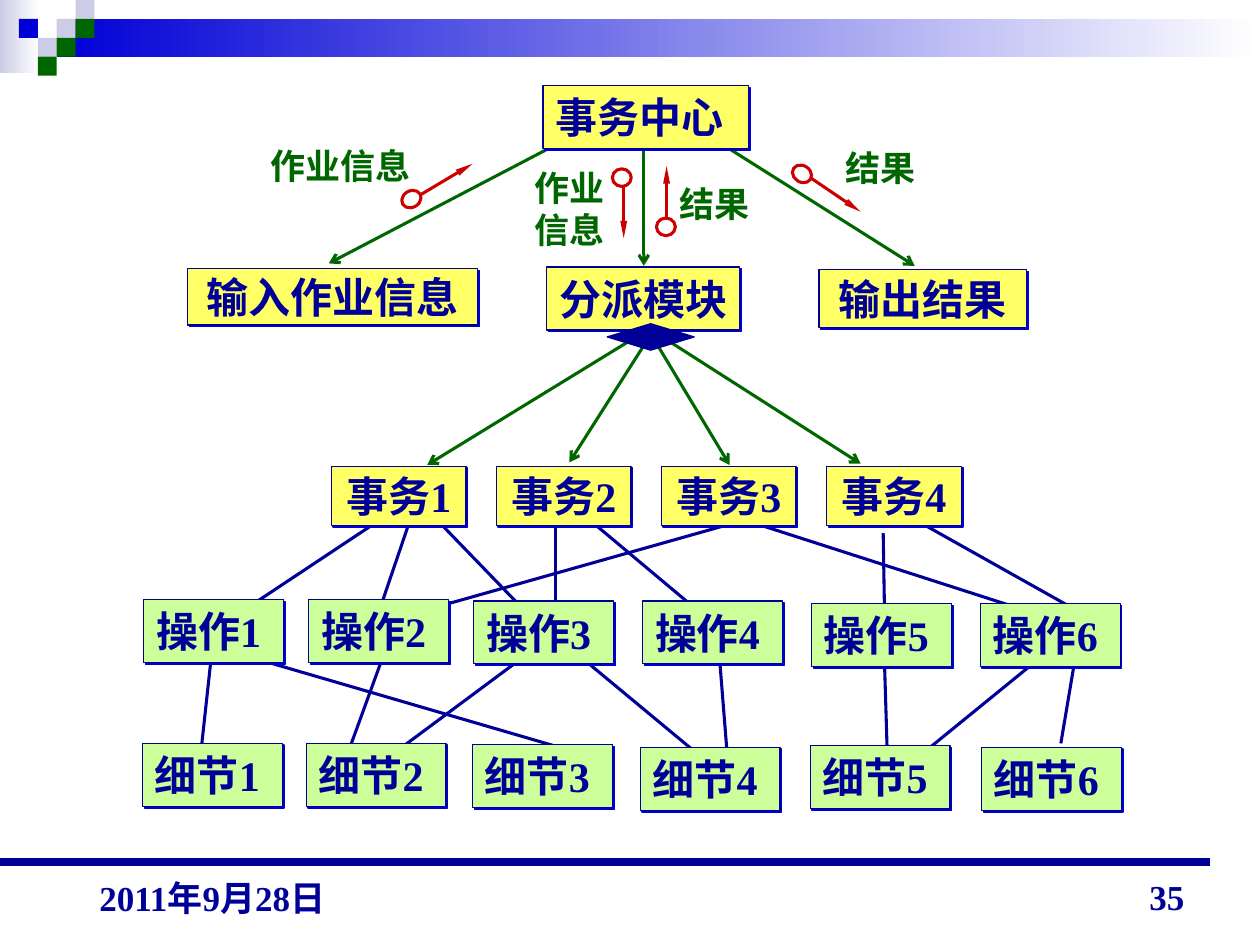
from dataclasses import dataclass

from lxml import etree
from pptx import Presentation
from pptx.dml.color import RGBColor
from pptx.enum.shapes import MSO_CONNECTOR as CONN, MSO_SHAPE as SHAPE
from pptx.enum.text import MSO_ANCHOR as ANCHOR, MSO_AUTO_SIZE as FIT, PP_ALIGN as ALIGN
from pptx.oxml.ns import qn
from pptx.util import Pt


@dataclass(frozen=True)
class Theme:
    font: str = "Times New Roman"
    box_size: int = 24
    label_size: int = 20
    navy: str = "000099"
    blue: str = "0000D6"
    pale: str = "CCCCE6"
    green: str = "006600"
    red: str = "CC0000"
    yellow: str = "FFFF66"
    lime: str = "CCFF99"
    white: str = "FFFFFF"
    thin: float = 0.75
    line: float = 1.75


T = Theme()
TILE = 10.8

TILES = [(3, 1, T.pale), (4, 0, T.pale), (4, 1, T.green), (2, 2, T.pale),
         (1, 1, T.blue), (3, 2, T.green), (2, 3, T.green)]

OPERATION_DETAIL = [
    (121, 373, 114.5, 432.7), (136.8, 373.7, 316.8, 426.2),
    (218.9, 375.1, 198.7, 430.6), (302.4, 373, 229.7, 427),
    (329.8, 373.7, 397.4, 429.8), (411.1, 375.1, 415.4, 429.1),
    (505.4, 377.3, 506.9, 427), (592.6, 377.3, 526.3, 431.3),
    (614.2, 377.3, 606.2, 424.8)]
AFFAIR_OPERATION = [
    (212.4, 300.2, 144, 345.6), (340.6, 300.2, 397.4, 347.8),
    (252.7, 300.2, 295.2, 344.2), (317.5, 300.2, 317.5, 347),
    (233.3, 300.2, 217.4, 347), (414.7, 300.2, 236.2, 350.6),
    (504.7, 304.6, 505.4, 347), (524.9, 298.1, 612, 347),
    (434.9, 300.2, 578.2, 346.3)]
CALLS = [
    (370.1, 187.2, 491.8, 265), (374.4, 187.2, 325.4, 264.2),
    (368.6, 189.4, 244.1, 265.7), (365.8, 180.7, 416.9, 265.7),
    (367.9, 72.7, 367.9, 151.9), (332.6, 74.9, 187.9, 150.5),
    (401.8, 75.6, 522.7, 151.9)]
FLOWS = [
    ((356.4, 105.8, 356.4, 136.1), (349.9, 96.5, 10.8, 10.1), 0),
    ((380.9, 125.3, 380.9, 95), (375.1, 124.6, 10.8, 10.1), 0),
    ((239.8, 111.6, 270, 93.6), (230.4, 108, 9.4, 11.5), 59.2),
    ((463, 101.5, 491.8, 121), (453.6, 93.6, 9.4, 11.5), 303.1)]
LABELS = [
    ("作业信息", 147.6, 79.2, 96, 31.7), ("作业\n信息", 298.4, 91.4, 56, 55.4),
    ("结果", 475.9, 79.9, 56, 31.7), ("结果", 381.2, 100.8, 56, 31.7)]
OPERATIONS = [(82.1, 342.7), (176.4, 342.7), (270.7, 343.4),
              (367.2, 343.4), (463.7, 344.9), (560.2, 344.9)]
DETAILS = [(81.4, 424.8), (175, 424.8), (270, 425.5),
           (365.8, 427), (463, 426.2), (560.9, 427)]


def rgb(color):
    return RGBColor.from_string(color)


def write(sp, text, size=T.box_size, color=T.navy, align=ALIGN.LEFT,
          anchor=ANCHOR.TOP, wrap=False, grow=True):
    tf = sp.text_frame
    tf.word_wrap = wrap
    tf.auto_size = FIT.SHAPE_TO_FIT_TEXT if grow else FIT.NONE
    tf.vertical_anchor = anchor
    tf.text = text
    for p in tf.paragraphs:
        p.alignment = align
        for r in p.runs:
            r.font.name = T.font
            r.font.size = Pt(size)
            r.font.bold = True
            r.font.color.rgb = rgb(color)


def add_label(slide, text, x, y, w, h, **fmt):
    sp = slide.shapes.add_textbox(Pt(x), Pt(y), Pt(w), Pt(h))
    write(sp, text, size=T.label_size, **fmt)


def add_shape(slide, kind, x, y, w, h, fill, line=None, width=T.thin, rotation=0):
    sp = slide.shapes.add_shape(kind, Pt(x), Pt(y), Pt(w), Pt(h))
    sp.shadow.inherit = False
    sp.rotation = rotation
    sp.fill.solid()
    sp.fill.fore_color.rgb = rgb(fill)
    if line:
        sp.line.color.rgb = rgb(line)
        sp.line.width = Pt(width)
    else:
        sp.line.fill.background()
    return sp


def add_fade(slide, x, y, w, h, color):
    sp = add_shape(slide, SHAPE.RECTANGLE, x, y, w, h, color)
    sp.fill.gradient()
    sp.fill.gradient_angle = 0
    for stop, shade in zip(sp.fill.gradient_stops, (color, T.white)):
        stop.color.rgb = rgb(shade)


def add_box(slide, text, x, y, w, h, fill, **fmt):
    sp = add_shape(slide, SHAPE.RECTANGLE, x, y, w, h, fill, T.navy)
    effects = sp._element.spPr.find(qn("a:effectLst"))
    shadow = etree.SubElement(effects, qn("a:outerShdw"), dist=str(Pt(1.4)),
                              dir="2700000", algn="ctr", rotWithShape="0")
    etree.SubElement(shadow, qn("a:srgbClr"), val=T.blue)
    write(sp, text, **fmt)


def add_line(slide, ends, color, width=T.line, head=None, head_w="med", head_len="med"):
    c = slide.shapes.add_connector(CONN.STRAIGHT, *(Pt(v) for v in ends))
    c.line.color.rgb = rgb(color)
    c.line.width = Pt(width)
    props = c._element.spPr
    if head:
        etree.SubElement(props.find(qn("a:ln")), qn("a:tailEnd"),
                         type=head, w=head_w, len=head_len)
    etree.SubElement(props, qn("a:effectLst"))


def add_flow(slide, arrow, ring, rotation):
    add_line(slide, arrow, T.red, head="triangle", head_w="sm", head_len="lg")
    add_shape(slide, SHAPE.OVAL, *ring, T.white, T.red, T.line, rotation)


def add_frame(slide):
    add_fade(slide, 0, 0, 22.3, 41.8, T.pale)
    add_fade(slide, 3 * TILE, TILE, 720 - 3 * TILE, 2 * TILE, T.blue)
    for col, row, color in TILES:
        add_shape(slide, SHAPE.RECTANGLE, col * TILE, row * TILE, TILE, TILE, color)
    add_line(slide, (0, 492.5, 691.2, 492.5), T.navy, 4.5)
    add_label(slide, "35", 516.2, 491.8, 167.8, 36, align=ALIGN.RIGHT,
              anchor=ANCHOR.BOTTOM, wrap=True, grow=False)
    add_label(slide, "2011年9月28日", 49.7, 491, 167.8, 37.4,
              anchor=ANCHOR.BOTTOM, wrap=True, grow=False)


def add_modules(slide):
    centered = dict(align=ALIGN.CENTER, anchor=ANCHOR.MIDDLE, grow=False)
    add_box(slide, "事务中心", 310.3, 49, 117.4, 36, T.yellow, wrap=True)
    add_box(slide, "分派模块", 312.5, 152.6, 110.2, 36, T.yellow)
    add_box(slide, "输出结果", 468, 154.1, 118.8, 33.1, T.yellow, **centered)
    add_box(slide, "输入作业信息", 107.3, 153.4, 165.6, 32.4, T.yellow, **centered)
    for i in range(4):
        add_box(slide, f"事务{i + 1}", 189.4 + 94.3 * i, 266.4, 77, 33.8,
                T.yellow, **centered)
    for name, places in (("操作", OPERATIONS), ("细节", DETAILS)):
        for i, (x, y) in enumerate(places, 1):
            add_box(slide, f"{name}{i}", x, y, 79.9, 36, T.lime)


def main():
    prs = Presentation()
    prs.slide_width, prs.slide_height = Pt(720), Pt(540)
    slide = prs.slides.add_slide(prs.slide_layouts[6])
    add_frame(slide)
    for ends in OPERATION_DETAIL + AFFAIR_OPERATION:
        add_line(slide, ends, T.navy)
    for ends in CALLS:
        add_line(slide, ends, T.green, head="arrow")
    add_modules(slide)
    for flow in FLOWS:
        add_flow(slide, *flow)
    add_shape(slide, SHAPE.DIAMOND, 347, 185, 49.7, 15.1, T.navy, T.navy)
    for label in LABELS:
        add_label(slide, *label, color=T.green)
    prs.save("out.pptx")


if __name__ == "__main__":
    main()
